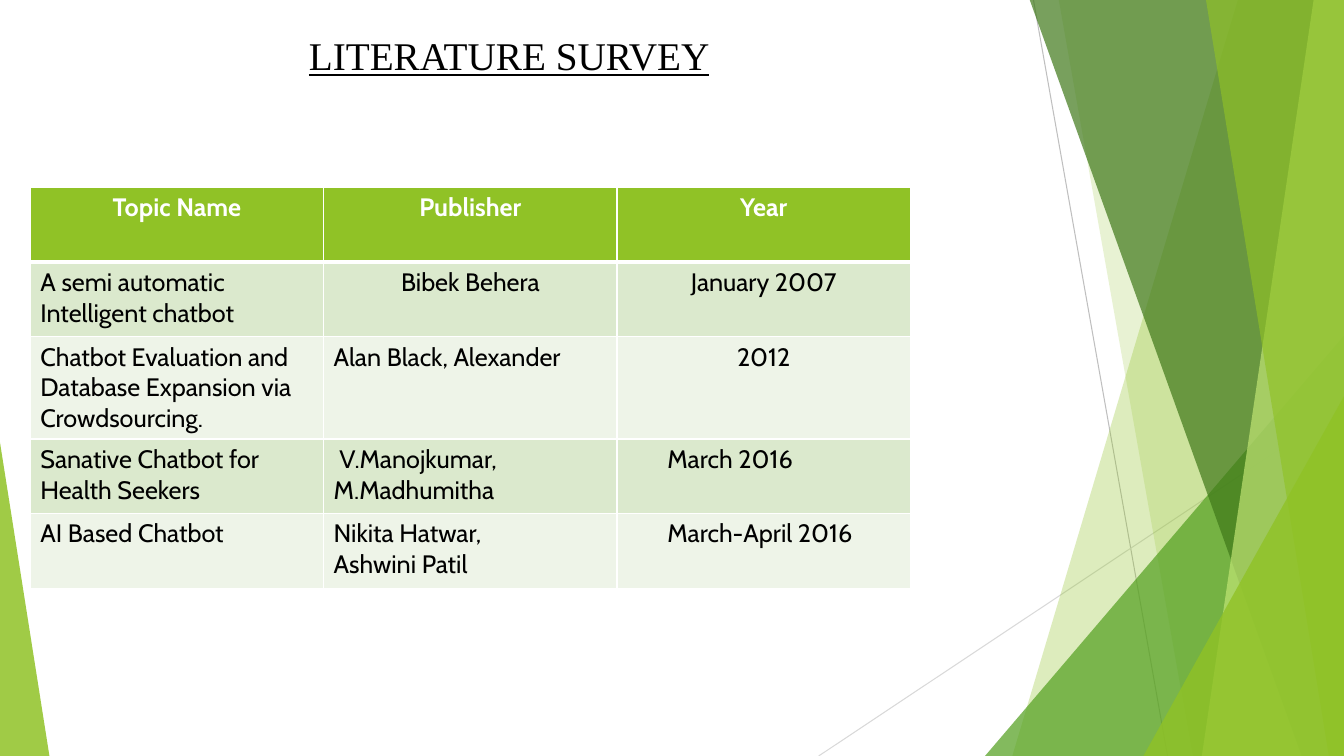
import pptx
import pptx.dml.color
import pptx.enum.shapes
import pptx.enum.text
import pptx.oxml
import pptx.oxml.ns
import pptx.util

Inches = pptx.util.Inches
Pt = pptx.util.Pt
RGBColor = pptx.dml.color.RGBColor
Align = pptx.enum.text.PP_ALIGN

BLACK = RGBColor(0x00, 0x00, 0x00)
WHITE = RGBColor(0xFF, 0xFF, 0xFF)
LIME = RGBColor(0x90, 0xC2, 0x26)
GREEN = RGBColor(0x54, 0xA0, 0x21)
FOREST = RGBColor(0x3F, 0x78, 0x19)
PALE_LIME = RGBColor(0xC0, 0xE4, 0x74)
BAND_DARK = RGBColor(0xDB, 0xE9, 0xCD)
BAND_LIGHT = RGBColor(0xEE, 0xF4, 0xE8)
GRAY = RGBColor(0xBF, 0xBF, 0xBF)
LIGHT_GRAY = RGBColor(0xD9, 0xD9, 0xD9)

# Content
TITLE = "LITERATURE SURVEY"
SURVEY = [
    ("Topic Name", "Publisher", "Year"),
    ("A semi automatic Intelligent chatbot", "Bibek Behera", "January 2007"),
    ("Chatbot Evaluation and Database Expansion via Crowdsourcing.",
     "Alan Black, Alexander", "2012"),
    ("Sanative Chatbot for Health Seekers", " V.Manojkumar,\nM.Madhumitha", "March 2016"),
    ("AI Based Chatbot", "Nikita Hatwar,\nAshwini Patil", "March-April 2016"),
]
CENTERED = {(0, 0), (0, 1), (0, 2), (1, 1), (1, 2), (2, 2)}
INDENTED = {(3, 2), (4, 2)}
ROW_HEIGHTS = [0.74, 0.74, 1.0, 0.74, 0.74]
COLUMN_WIDTH = 2.91

# Decoration, back to front
WIDTH, HEIGHT, TOP = 13.33, 7.5, -0.01
THIN_LINES = [
    ((10.25, 0), (11.58, HEIGHT), GRAY),
    ((WIDTH, 4.03), (8.12, HEIGHT), LIGHT_GRAY),
]
# Panels run to the right edge: (top x, bottom x, colour, opacity %)
# Triangles: (left, top, width, apex position, colour, opacity %)
FACETS = [
    ("panel", 12.28, 10.04, LIME, 30),
    ("panel", 10.5, 11.83, LIME, 20),
    ("triangle", 9.77, 3.33, 3.56, 1, GREEN, 72),
    ("panel", 10.21, 12.91, FOREST, 70),
    ("panel", 13.03, 11.92, PALE_LIME, 70),
    ("panel", 11.96, 13.18, LIME, 65),
    ("triangle", 11.34, 3.93, 1.99, 1, LIME, 80),
    ("triangle", 0, 4.39, 0.49, 0, LIME, 85),
]


def apply_format(target, values):
    for name, value in values.items():
        setattr(target, name, value)


def add_line(page, start, end, color):
    points = [Inches(value) for value in start + end]
    line = page.shapes.add_connector(pptx.enum.shapes.MSO_CONNECTOR.STRAIGHT, *points)
    line.line.color.rgb = color
    line.line.width = Pt(0.75)
    pptx.oxml.ns.qn("a:effectLst")
    line._element.spPr.append(pptx.oxml.parse_xml(
        f'<a:effectLst {pptx.oxml.ns.nsdecls("a")}/>'))


def add_panel(page, top_x, bottom_x):
    corners = [(WIDTH, TOP), (WIDTH, HEIGHT), (bottom_x, HEIGHT)]
    builder = page.shapes.build_freeform(Inches(top_x), Inches(TOP))
    builder.add_line_segments([(Inches(x), Inches(y)) for x, y in corners], close=True)
    return builder.convert_to_shape()


def add_triangle(page, left, top, width, apex):
    shape = page.shapes.add_shape(
        pptx.enum.shapes.MSO_SHAPE.ISOSCELES_TRIANGLE,
        Inches(left), Inches(top), Inches(width), Inches(HEIGHT - top))
    shape.adjustments[0] = apex
    return shape


def add_facet(page, kind, *values):
    *geometry, color, opacity = values
    shape = (add_panel if kind == "panel" else add_triangle)(page, *geometry)
    shape.shadow.inherit = False
    shape.line.fill.background()
    shape.fill.solid()
    shape.fill.fore_color.rgb = color
    tint = shape._element.spPr.find(".//" + pptx.oxml.ns.qn("a:srgbClr"))
    tint.append(pptx.oxml.parse_xml(
        f'<a:alpha {pptx.oxml.ns.nsdecls("a")} val="{opacity * 1000}"/>'))


def set_borders(cell, row):
    heavy = {(0, "B"), (1, "T")}
    for position, side in enumerate("LRTB"):
        width = Pt(3 if (row, side) in heavy else 1)
        cell._tc.get_or_add_tcPr().insert(position, pptx.oxml.parse_xml(
            f'<a:ln{side} {pptx.oxml.ns.nsdecls("a")} w="{width}"><a:solidFill>'
            f'<a:srgbClr val="{WHITE}"/></a:solidFill></a:ln{side}>'))


def fill_cell(cell, row, column, text):
    cell.text = text
    cell.fill.solid()
    cell.fill.fore_color.rgb = LIME if row == 0 else (BAND_LIGHT, BAND_DARK)[row % 2]
    set_borders(cell, row)
    if (row, column) in INDENTED:
        cell.margin_left = Inches(0.5)
    for para in cell.text_frame.paragraphs:
        para.alignment = Align.CENTER if (row, column) in CENTERED else Align.LEFT
        for span in para.runs:
            apply_format(span.font, {"name": "Cabin", "size": Pt(18), "bold": row == 0})
            span.font.color.rgb = WHITE if row == 0 else BLACK


def add_title(page):
    title = page.shapes.title
    apply_format(title, {"left": Inches(2.94), "top": Inches(0.26),
                         "width": Inches(4.22), "height": Inches(0.57)})
    title.text = TITLE
    apply_format(title.text_frame, {"word_wrap": False,
                                    "auto_size": pptx.enum.text.MSO_AUTO_SIZE.NONE,
                                    "vertical_anchor": pptx.enum.text.MSO_ANCHOR.TOP})
    para = title.text_frame.paragraphs[0]
    para.alignment = Align.CENTER
    font = para.runs[0].font
    apply_format(font, {"name": "Times New Roman", "size": Pt(28), "underline": True})
    font.color.rgb = BLACK


def add_survey_table(page):
    table = page.shapes.add_table(
        len(SURVEY), len(SURVEY[0]), Inches(0.3), Inches(1.86),
        Inches(COLUMN_WIDTH * len(SURVEY[0])), Inches(sum(ROW_HEIGHTS))).table
    table.horz_banding = False
    for column in table.columns:
        column.width = Inches(COLUMN_WIDTH)
    for row, texts in enumerate(SURVEY):
        table.rows[row].height = Inches(ROW_HEIGHTS[row])
        for column, text in enumerate(texts):
            fill_cell(table.cell(row, column), row, column, text)


def main():
    deck = pptx.Presentation()
    deck.slide_width, deck.slide_height = Inches(WIDTH), Inches(HEIGHT)
    page = deck.slides.add_slide(deck.slide_layouts[5])
    for line in THIN_LINES:
        add_line(page, *line)
    for facet in FACETS:
        add_facet(page, *facet)
    add_title(page)
    add_survey_table(page)
    deck.save("out.pptx")


if __name__ == "__main__":
    main()
